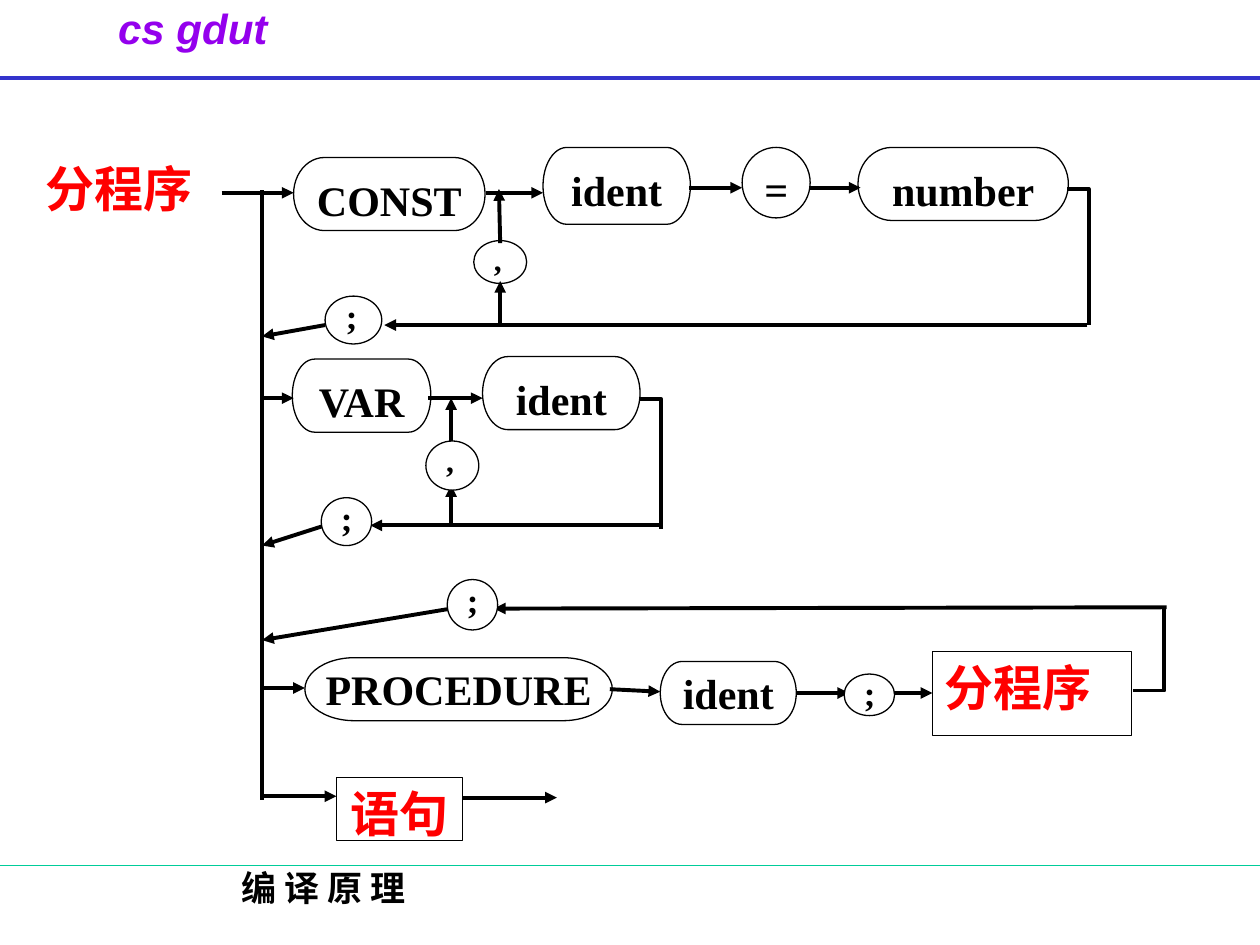
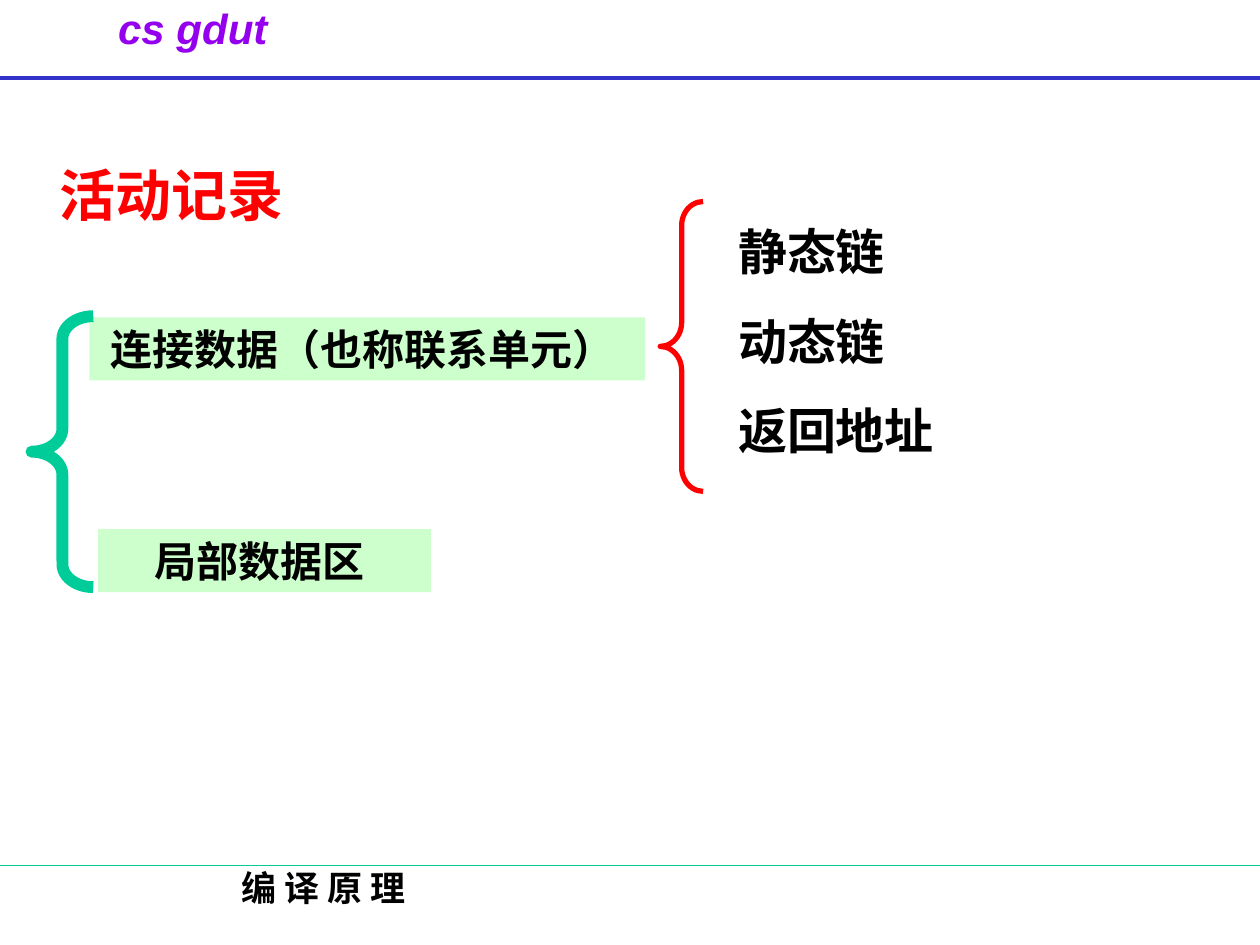
from lxml import etree
from pptx import Presentation
from pptx.dml.color import RGBColor
from pptx.enum.lang import MSO_LANGUAGE_ID
from pptx.enum.shapes import MSO_CONNECTOR, MSO_SHAPE
from pptx.enum.text import MSO_ANCHOR, PP_ALIGN
from pptx.oxml.ns import qn
from pptx.util import Inches, Pt

BLACK, RED, WHITE = "000000", "FF0000", "FFFFFF"
GREEN, PALE_GREEN = "00CC99", "CCFFCC"
SERIF, CHINESE = "Times New Roman", "Noto Sans CJK SC"


def write(shape, text, size=24, font=SERIF, color=BLACK, italic=False,
          align=PP_ALIGN.LEFT, spacing=1.0, before=0, side=0.1):
    frame = shape.text_frame
    frame.word_wrap = True
    frame.vertical_anchor = MSO_ANCHOR.TOP
    frame.margin_left = frame.margin_right = Inches(side)
    frame.margin_top = frame.margin_bottom = Inches(0.05)
    frame.text = text
    for index, paragraph in enumerate(frame.paragraphs):
        paragraph.alignment = align
        paragraph.line_spacing = spacing
        paragraph.space_before = Pt(before if index else 0)
        for run in paragraph.runs:
            run.font.name = font
            run.font.size = Pt(size)
            run.font.bold = True
            run.font.italic = italic
            run.font.color.rgb = RGBColor.from_string(color)
            run.font.language_id = MSO_LANGUAGE_ID.SIMPLIFIED_CHINESE


def draw_line(slide, start_x, start_y, end_x, end_y, color=BLACK, width=2.25, arrow=True):
    line = slide.shapes.add_connector(
        MSO_CONNECTOR.STRAIGHT, Inches(start_x), Inches(start_y), Inches(end_x), Inches(end_y))
    line.line.color.rgb = RGBColor.from_string(color)
    line.line.width = Pt(width)
    if arrow:
        etree.SubElement(line.line._get_or_add_ln(), qn("a:tailEnd"), type="triangle")
    etree.SubElement(line._element.spPr, qn("a:effectLst"))


presentation = Presentation()
presentation.slide_width = Inches(10)
presentation.slide_height = Inches(7.5)

titles = [
    ("分程序", (0.26, 1.21, 1.42, 0.57), 28, CHINESE),
    ("活动记录", (0.37, 1.22, 5.1, 0.53), 32, SERIF),
]
for title, box, size, font in titles:
    slide = presentation.slides.add_slide(presentation.slide_layouts[5])
    header = slide.shapes.add_textbox(Inches(0.19), Inches(-0.03), Inches(2.68), Inches(0.62))
    write(header, "cs gdut", font="Arial", color="9400ED", italic=True, align=PP_ALIGN.CENTER)
    draw_line(slide, 0, 0.62, 10, 0.62, color="3333CC", arrow=False)
    footer = slide.shapes.add_textbox(Inches(0.5), Inches(6.83), Inches(4.14), Inches(0.5))
    write(footer, "编 译 原 理", size=20, align=PP_ALIGN.CENTER)
    draw_line(slide, 0, 6.87, 10, 6.87, color=GREEN, width=0.75, arrow=False)
    heading = slide.shapes.title
    heading.left, heading.top, heading.width, heading.height = map(Inches, box)
    write(heading, title, size=size, font=font, color=RED)

syntax_slide, record_slide = presentation.slides

terminal = MSO_SHAPE.FLOWCHART_TERMINATOR
circle = MSO_SHAPE.FLOWCHART_CONNECTOR
process = MSO_SHAPE.FLOWCHART_PROCESS
centered = {"align": PP_ALIGN.CENTER}
tight = {"align": PP_ALIGN.CENTER, "spacing": 0.8}
comma = {"size": 18, "spacing": 0.6}
semicolon = {"size": 20, "spacing": 0.6}
back_nodes = [
    (terminal, "CONST", 2.33, 1.25, 1.52, 0.58, centered),
    (terminal, "ident", 4.31, 1.17, 1.17, 0.61, centered),
    (terminal, "number", 6.81, 1.17, 1.67, 0.58, centered),
    (circle, "=", 5.89, 1.17, 0.54, 0.56, {}),
    (circle, ",", 3.76, 1.91, 0.42, 0.34, comma),
    (circle, ";", 2.58, 2.35, 0.45, 0.38, semicolon),
    (terminal, "VAR", 2.32, 2.85, 1.1, 0.58, centered),
    (terminal, "ident", 3.83, 2.83, 1.25, 0.58, centered),
    (terminal, "PROCEDURE", 2.42, 5.22, 2.44, 0.5, {**tight, "side": 0.02}),
    (terminal, "ident", 5.24, 5.25, 1.08, 0.5, tight),
    (process, "分程序", 7.4, 5.17, 1.58, 0.67, {"size": 28, "color": RED}),
    (process, "语句", 2.67, 6.17, 1, 0.5, {"size": 28, "color": RED, **centered}),
]
front_nodes = [
    (circle, ",", 3.38, 3.5, 0.42, 0.39, comma),
    (circle, ";", 2.55, 3.95, 0.4, 0.38, semicolon),
    (circle, ";", 3.55, 4.6, 0.4, 0.4, semicolon),
    (circle, ";", 6.7, 5.35, 0.4, 0.33, semicolon),
]
trunk = 2.08
arrows = [
    (1.76, 1.53, 2.33, 1.53), (3.86, 1.53, 4.31, 1.53),
    (5.47, 1.49, 5.89, 1.49), (6.42, 1.49, 6.83, 1.49),
    (8.63, 2.58, 3.05, 2.58), (3.97, 2.59, 3.97, 2.23),
    (3.97, 1.93, 3.96, 1.5), (2.58, 2.58, trunk, 2.67),
    (trunk, 3.16, 2.33, 3.16), (3.4, 3.16, 3.83, 3.16),
    (5.25, 4.17, 2.94, 4.17), (3.58, 4.17, 3.58, 3.85),
    (3.58, 3.52, 3.58, 3.16), (2.58, 4.17, trunk, 4.33),
    (9.26, 4.82, 3.92, 4.83), (3.58, 4.83, trunk, 5.08),
    (trunk, 5.46, 2.42, 5.46), (4.84, 5.47, 5.24, 5.49),
    (6.32, 5.5, 6.74, 5.5), (7.07, 5.5, 7.4, 5.5),
    (trunk, 6.32, 2.67, 6.32), (3.67, 6.33, 4.42, 6.33),
]
elbows = [(8.47, 1.5, 8.64, 2.58), (5.08, 3.17, 5.25, 4.2), (8.99, 5.48, 9.24, 4.83)]

for layer in (back_nodes, front_nodes):
    for kind, text, left, top, width, height, text_format in layer:
        node = syntax_slide.shapes.add_shape(
            kind, Inches(left), Inches(top), Inches(width), Inches(height))
        node.shadow.inherit = False
        node.fill.solid()
        node.fill.fore_color.rgb = RGBColor.from_string(WHITE)
        node.line.color.rgb = RGBColor.from_string(BLACK)
        node.line.width = Pt(0.75)
        write(node, text, **text_format)
    if layer is back_nodes:
        draw_line(syntax_slide, trunk, 1.51, trunk, 6.35, arrow=False)
        for ends in arrows:
            draw_line(syntax_slide, *ends)
        for start_x, start_y, end_x, end_y in elbows:
            builder = syntax_slide.shapes.build_freeform(Inches(start_x), Inches(start_y))
            builder.add_line_segments(
                [(Inches(end_x), Inches(start_y)), (Inches(end_x), Inches(end_y))], close=False)
            elbow = builder.convert_to_shape()
            elbow.shadow.inherit = False
            elbow.fill.background()
            elbow.line.color.rgb = RGBColor.from_string(BLACK)
            elbow.line.width = Pt(2.25)

for text, left, top, width in [
    ("连接数据（也称联系单元） ", 0.71, 2.52, 4.41),
    ("局部数据区 ", 0.78, 4.2, 2.64),
]:
    area = record_slide.shapes.add_shape(
        MSO_SHAPE.RECTANGLE, Inches(left), Inches(top), Inches(width), Inches(0.5))
    area.shadow.inherit = False
    area.fill.solid()
    area.fill.fore_color.rgb = RGBColor.from_string(PALE_GREEN)
    area.line.fill.background()
    write(area, text, align=PP_ALIGN.CENTER)

for left, top, width, height, curve, color, thickness in [
    (0.25, 2.51, 0.49, 2.15, 0.37, GREEN, 6.75),
    (5.24, 1.6, 0.34, 2.3, 0.56, RED, 3),
]:
    brace = record_slide.shapes.add_shape(
        MSO_SHAPE.LEFT_BRACE, Inches(left), Inches(top), Inches(width), Inches(height))
    brace.adjustments[0] = curve
    brace.shadow.inherit = False
    brace.fill.background()
    brace.line.color.rgb = RGBColor.from_string(color)
    brace.line.width = Pt(thickness)

links = record_slide.shapes.add_textbox(Inches(5.76), Inches(1.71), Inches(2.64), Inches(1.99))
write(links, "静态链\n动态链\n返回地址", size=28, font=CHINESE, before=17.5)

presentation.save("out.pptx")
